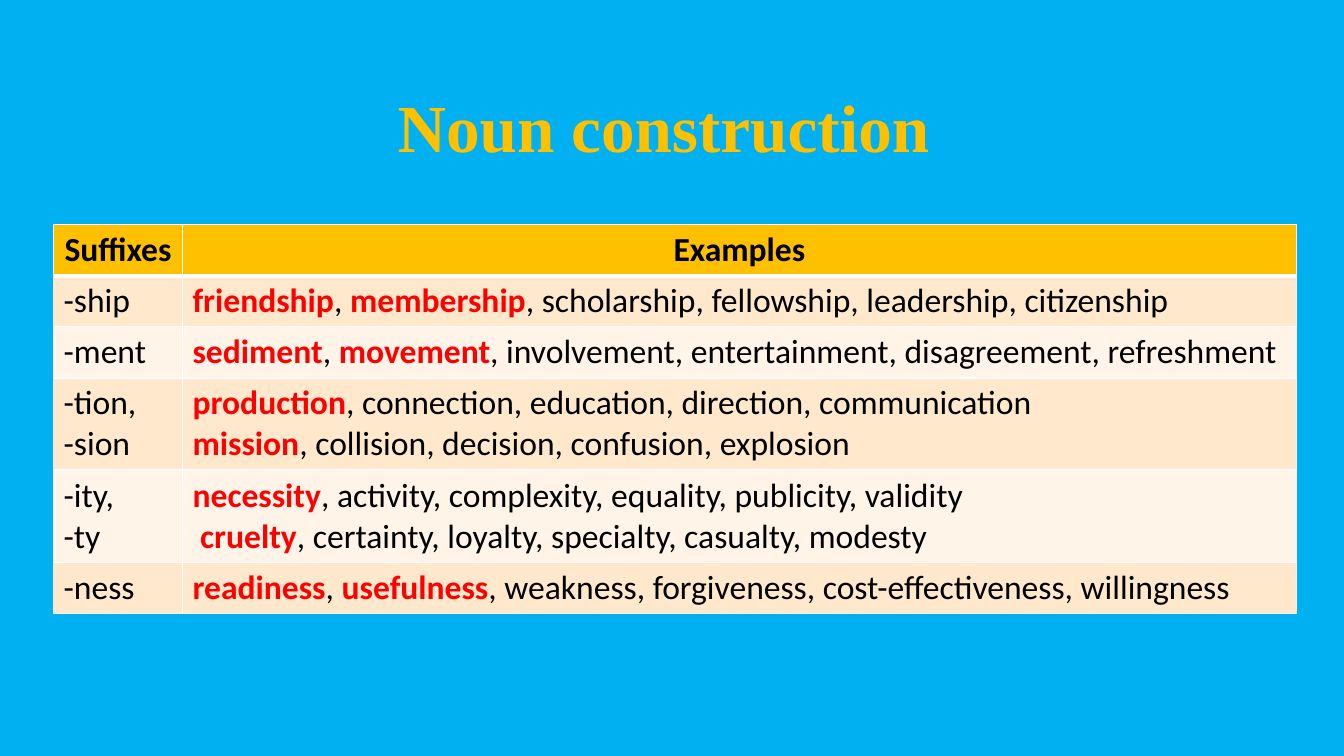
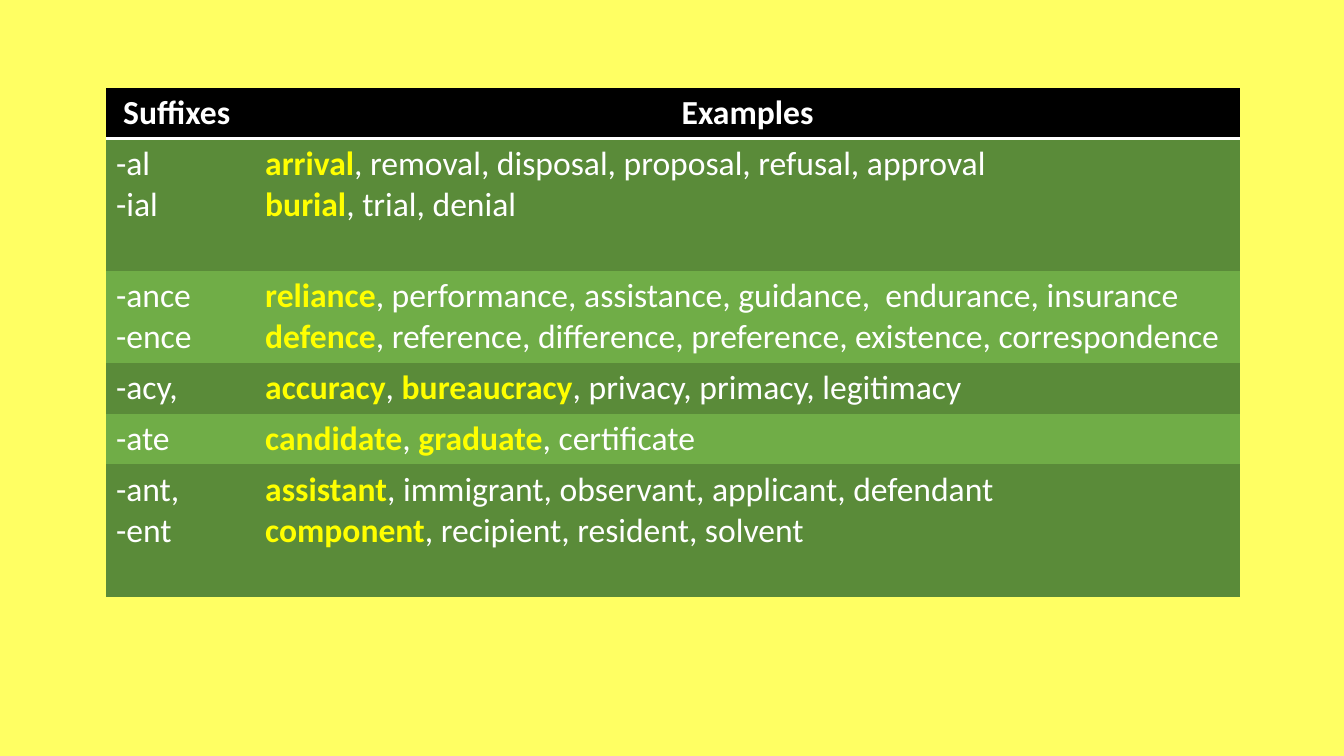
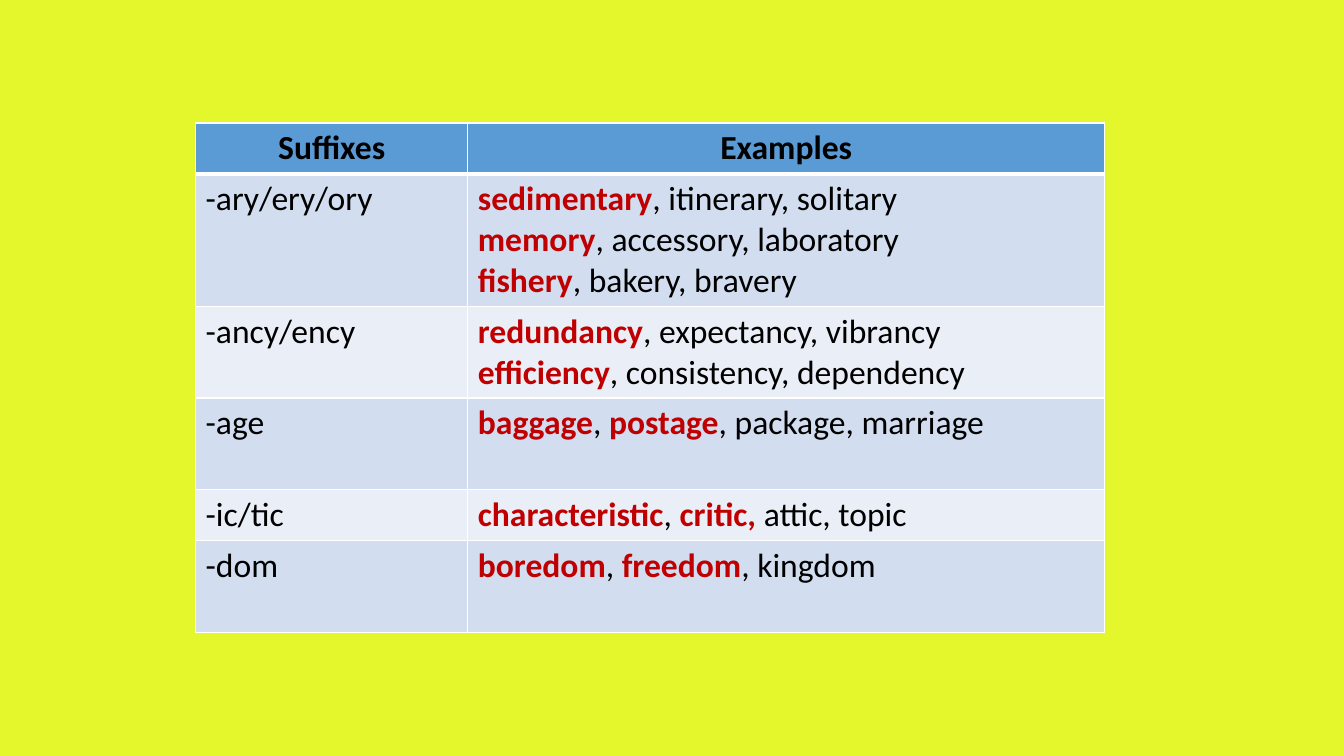
from dataclasses import dataclass

from lxml import etree
from pptx import Presentation
from pptx.dml.color import RGBColor
from pptx.enum.text import MSO_AUTO_SIZE, PP_ALIGN
from pptx.oxml.ns import qn
from pptx.util import Cm, Pt

HEADINGS = ("Suffixes", "Examples")


def rgb(value):
    return RGBColor.from_string(value)


@dataclass
class Palette:
    header: str
    bands: tuple
    heading: str
    body: str
    accent: str
    grid: float  # inner and outer line width in points, 0 for none
    rule: float  # line width under the header


class Deck:
    BODY_FONT, BODY_SIZE = "Calibri", 24
    TITLE_FONT, TITLE_SIZE, TITLE_COLOR = "Times New Roman", 48, "FFC000"
    LINE_COLOR = "FFFFFF"
    LINE_HEIGHT, ROW_PADDING = 1.03, 0.25

    def __init__(self):
        self.prs = Presentation()
        self.prs.slide_width, self.prs.slide_height = Cm(33.87), Cm(19.05)
        self.s = None

    def slide(self, background):
        self.s = self.prs.slides.add_slide(self.prs.slide_layouts[6])
        fill = self.s.background.fill
        fill.solid()
        fill.fore_color.rgb = rgb(background)

    def style(self, r, font, size, color, bold):
        r.font.name, r.font.size, r.font.bold = font, Pt(size), bold
        r.font.color.rgb = rgb(color)

    def title(self, text, left, top, width, height):
        box = self.s.shapes.add_textbox(Cm(left), Cm(top), Cm(width), Cm(height))
        tf = box.text_frame
        tf.word_wrap, tf.auto_size = False, MSO_AUTO_SIZE.SHAPE_TO_FIT_TEXT
        tf.text = text
        p = tf.paragraphs[0]
        p.alignment, p.line_spacing, p.space_after = PP_ALIGN.CENTER, 1.07, Pt(8)
        self.style(p.runs[0], self.TITLE_FONT, self.TITLE_SIZE, self.TITLE_COLOR, True)

    def borders(self, cell, top, bottom, side):
        """Draw the cell's lines, given as widths in points."""
        props = cell._tc.get_or_add_tcPr()
        widths = {"a:lnL": side, "a:lnR": side, "a:lnT": top, "a:lnB": bottom}
        for i, (tag, width) in enumerate(widths.items()):
            line = etree.Element(qn(tag), w=str(Pt(width)))
            if width:
                solid = etree.SubElement(line, qn("a:solidFill"))
                etree.SubElement(solid, qn("a:srgbClr"), val=self.LINE_COLOR)
            else:
                etree.SubElement(line, qn("a:noFill"))
            props.insert(i, line)

    def cell_text(self, cell, text, colors, bold=False, align=PP_ALIGN.LEFT):
        """Write lines of text; parts between asterisks are bold and accented."""
        tf = cell.text_frame
        for i, line in enumerate(text.split("\n")):
            p = tf.add_paragraph() if i else tf.paragraphs[0]
            p.alignment = align
            for j, part in enumerate(line.split("*")):
                if part:
                    r = p.add_run()
                    r.text = part
                    self.style(r, self.BODY_FONT, self.BODY_SIZE,
                               colors[j % 2], bold or j % 2 == 1)

    def table(self, left, top, widths, palette, rows, headings=HEADINGS):
        """Each row is suffixes, examples and the height in text lines."""
        rows = [(*headings, 1), *rows]
        heights = [self.LINE_HEIGHT * n + self.ROW_PADDING for *_, n in rows]
        table = self.s.shapes.add_table(
            len(rows), len(widths), Cm(left), Cm(top),
            Cm(sum(widths)), Cm(sum(heights))).table
        table.first_row = table.horz_banding = False
        for column, width in zip(table.columns, widths):
            column.width = Cm(width)
        for i, (*texts, _) in enumerate(rows):
            table.rows[i].height = Cm(heights[i])
            for j, text in enumerate(texts):
                cell = table.cell(i, j)
                cell.fill.solid()
                if i == 0:
                    cell.fill.fore_color.rgb = rgb(palette.header)
                    self.cell_text(cell, text, (palette.heading,), True, PP_ALIGN.CENTER)
                else:
                    cell.fill.fore_color.rgb = rgb(palette.bands[(i - 1) % 2])
                    self.cell_text(cell, text, (palette.body, palette.accent))
                self.borders(cell,
                             top=palette.rule if i == 1 else palette.grid,
                             bottom=palette.rule if i == 0 else palette.grid,
                             side=palette.grid)


def main():
    deck = Deck()

    # Slide 1: -ship to -ness
    orange = Palette("FFC000", ("FFE8CC", "FFF4E7"), "000000", "000000", "FF0000", 1, 3)
    deck.slide("00B0F0")
    deck.table(1.35, 5.66, (3.25, 28.07), orange, [
        ("-ship", "*friendship*, *membership*, scholarship, fellowship, leadership, citizenship", 1),
        ("-ment", "*sediment*, *movement*, involvement, entertainment, disagreement, refreshment", 1),
        ("-tion,\n-sion", "*production*, connection, education, direction, communication\n"
                          "*mission*, collision, decision, confusion, explosion", 2),
        ("-ity,\n-ty", "*necessity*, activity, complexity, equality, publicity, validity\n"
                       " *cruelty*, certainty, loyalty, specialty, casualty, modesty", 2),
        ("-ness", "*readiness*, *usefulness*, weakness, forgiveness, cost-effectiveness, willingness", 1),
    ])
    deck.title("Noun construction", 9.7, 1.88, 14.05, 2.34)

    # Slide 2: -al to -ent
    green = Palette("000000", ("5A8B39", "70AD47"), "FFFFFF", "FFFFFF", "FFFF00", 0, 2)
    deck.slide("FFFF63")
    deck.table(2.67, 2.21, (3.76, 24.82), green, [
        ("-al\n-ial", "*arrival*, removal, disposal, proposal, refusal, approval\n"
                       "*burial*, trial, denial", 3),
        ("-ance\n-ence", "*reliance*, performance, assistance, guidance,  endurance, insurance\n"
                         "*defence*, reference, difference, preference, existence, correspondence", 2),
        ("-acy,", "*accuracy*, *bureaucracy*, privacy, primacy, legitimacy", 1),
        ("-ate", "*candidate*, *graduate*, certificate", 1),
        ("-ant,\n-ent", "*assistant*, immigrant, observant, applicant, defendant\n"
                        "*component*, recipient, resident, solvent", 3),
    ], headings=("Suffixes ", "Examples"))

    # Slide 3: -ary to -dom
    blue = Palette("5B9BD5", ("D2DEEF", "EAEFF7"), "000000", "000000", "C00000", 1, 3)
    deck.slide("E4F72D")
    deck.table(4.93, 3.1, (6.86, 16.05), blue, [
        ("-ary/ery/ory", "*sedimentary*, itinerary, solitary\n"
                         "*memory*, accessory, laboratory\n"
                         "*fishery*, bakery, bravery", 3),
        ("-ancy/ency", "*redundancy*, expectancy, vibrancy\n"
                       "*efficiency*, consistency, dependency", 2),
        ("-age", "*baggage*, *postage*, package, marriage", 2),
        ("-ic/tic", "*characteristic*, *critic, *attic, topic", 1),
        ("-dom", "*boredom*, *freedom*, kingdom", 2),
    ])

    deck.prs.save("out.pptx")


if __name__ == "__main__":
    main()
